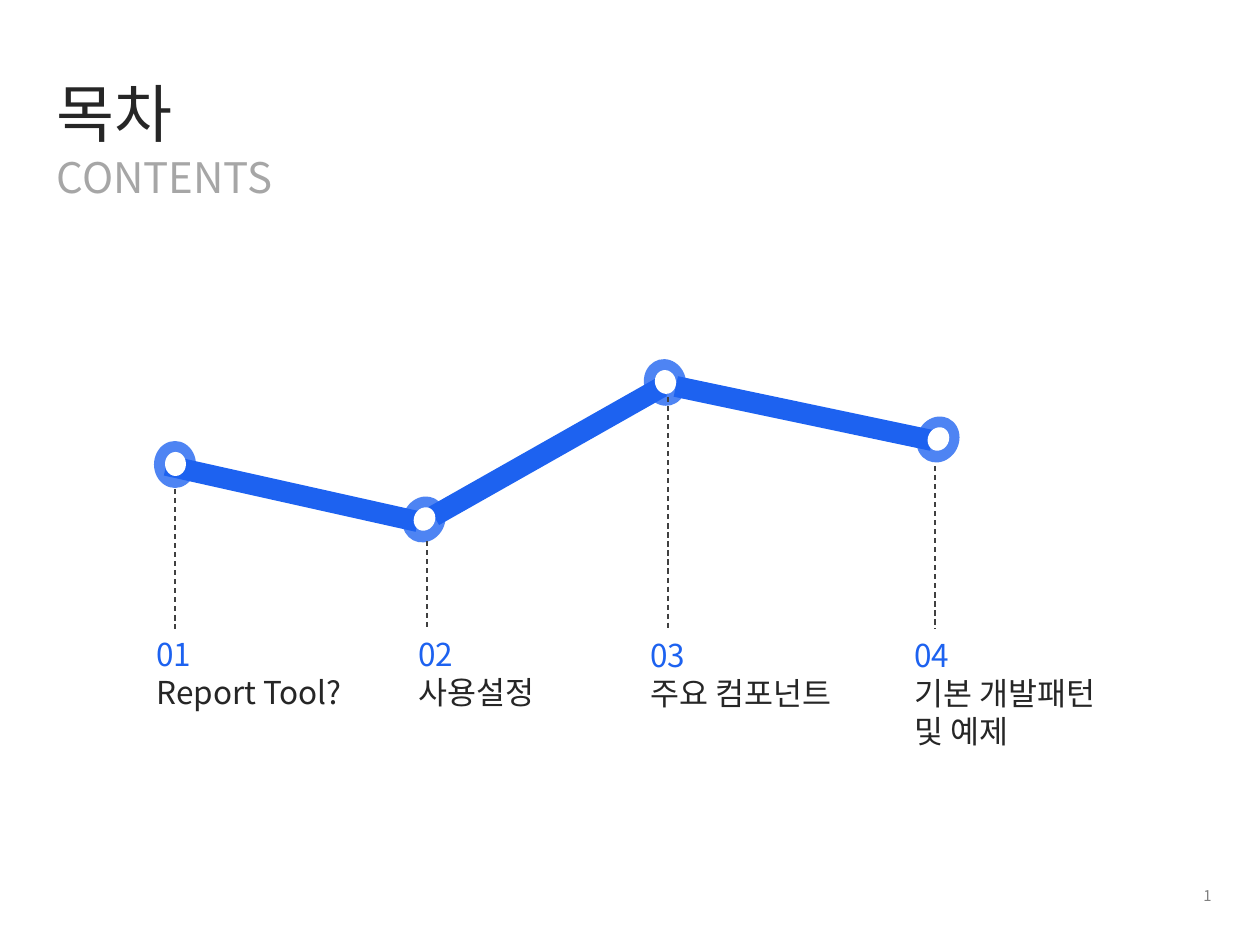
from pptx import Presentation
from pptx.util import Pt
from pptx.dml.color import RGBColor
from pptx.enum.dml import MSO_LINE
from pptx.enum.shapes import MSO_CONNECTOR, MSO_SHAPE
from pptx.enum.text import MSO_ANCHOR, MSO_AUTO_SIZE, PP_ALIGN
from pptx.oxml.ns import qn
from lxml.etree import SubElement

PX = 914400 // 126
FONT = "Noto Sans CJK KR"
BLUE, DARK, WHITE = "1D62F0", "262626", "FFFFFF"


def write(sp, box, lines, size, colors, align=PP_ALIGN.LEFT, anchor=MSO_ANCHOR.TOP):
    sp.left, sp.top, sp.width, sp.height = [v * PX for v in box]
    tf = sp.text_frame
    tf.text = "\n".join(lines)
    tf.word_wrap = True
    tf.auto_size = MSO_AUTO_SIZE.NONE
    tf.vertical_anchor = anchor
    for p, color in zip(tf.paragraphs, colors):
        p.alignment = align
        p.space_before = Pt(0)
        for r in p.runs:
            r.font.size = Pt(size)
            r.font.name = FONT
            r.font.color.rgb = RGBColor.from_string(color)
            SubElement(r.font._element, qn("a:ea")).set("typeface", FONT)


def add_solid(kind, box, color, rotation=0, alpha=100):
    sp = s.shapes.add_shape(kind, *[v * PX for v in box])
    sp.shadow.inherit = False
    sp.rotation = rotation
    sp.fill.solid()
    sp.fill.fore_color.rgb = RGBColor.from_string(color)
    sp.line.fill.background()
    if alpha < 100:
        srgb = sp._element.spPr.find(qn("a:solidFill"))[0]
        SubElement(srgb, qn("a:alpha")).set("val", str(alpha * 1000))


prs = Presentation()
prs.slide_width, prs.slide_height = 1260 * PX, 945 * PX
s = prs.slides.add_slide(prs.slide_layouts[0])

write(s.shapes.title, (44, 68, 953, 89), ["목차"], 36, [DARK])
write(s.placeholders[1], (44, 145, 953, 63), ["CONTENTS"], 24, ["A6A6A6"])

bars = [(163, 483, 258, 12.6), (417, 441, 262, 330.5), (673, 403, 262, 11.9)]
for x, y, w, rotation in bars:
    add_solid(MSO_SHAPE.RECTANGLE, (x, y, w, 21), BLUE, rotation)

stops = [
    ("01", "Report Tool?", 175, 464, 0, 175, 489, 144, 629),
    ("02", "사용설정", 424, 519, 27.6, 427, 541, 406, 629),
    ("03", "주요 컴포넌트", 665, 382, 345.5, 668, 397, 638, 630),
    ("04", "기본 개발패턴 및 예제", 938, 439, 26.9, 935, 466, 902, 630),
]
for number, label, cx, cy, rotation, line_x, line_y, text_x, text_y in stops:
    add_solid(MSO_SHAPE.OVAL, (cx - 21, cy - 23, 42, 47), BLUE, rotation, 78)
    add_solid(MSO_SHAPE.OVAL, (cx - 10, cy - 12, 21, 24), WHITE, rotation)

    line = s.shapes.add_connector(
        MSO_CONNECTOR.STRAIGHT, line_x * PX, line_y * PX, line_x * PX, 629 * PX)
    line.line.color.rgb = RGBColor.from_string("404040")
    line.line.width = Pt(0.75)
    line.line.dash_style = MSO_LINE.DASH
    SubElement(line._element.spPr, qn("a:effectLst"))

    height = 127 if number == "04" else 89
    write(s.shapes.add_textbox(0, 0, 0, 0), (text_x, text_y, 231, height),
          [number, label], 18, [BLUE, DARK])

write(s.shapes.add_textbox(0, 0, 0, 0), (958, 879, 266, 34), ["1"], 8.5,
      ["808080"], PP_ALIGN.RIGHT, MSO_ANCHOR.MIDDLE)

prs.save("out.pptx")
